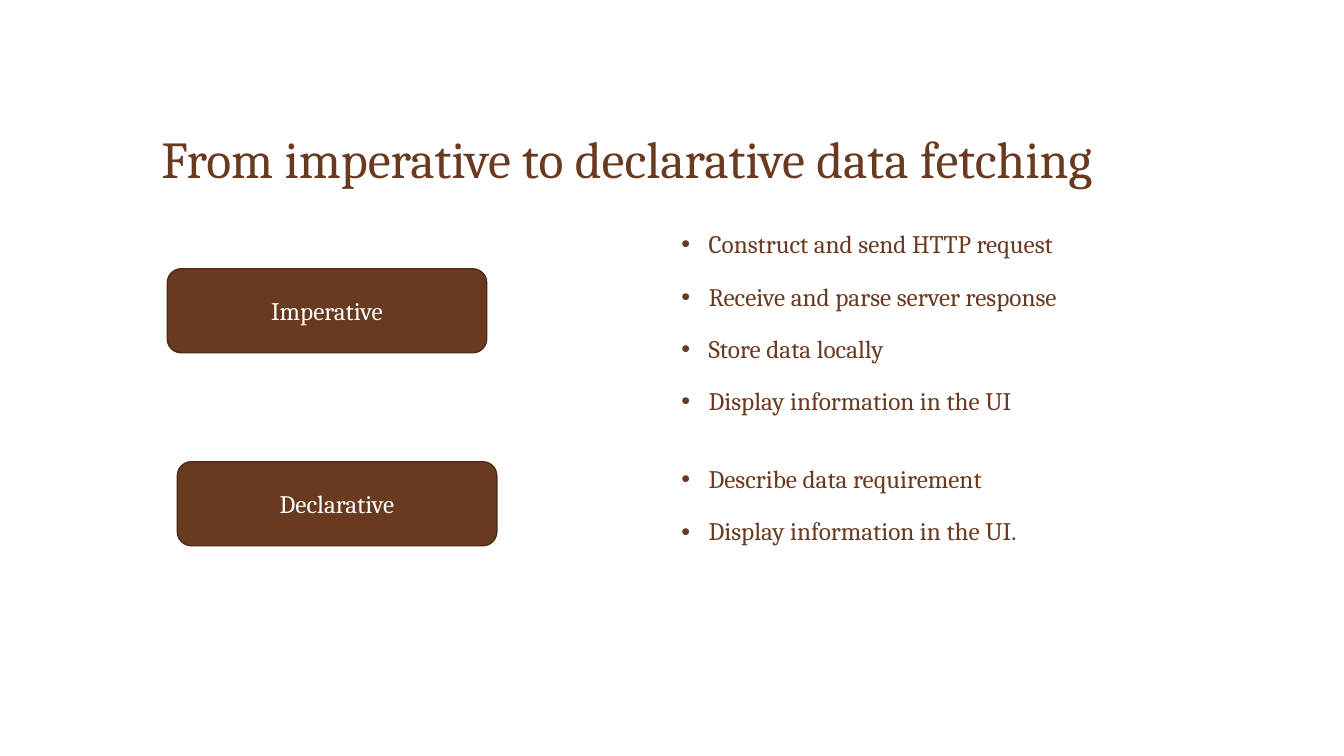
import pptx
import pptx.dml.color
import pptx.enum.shapes
import pptx.enum.text
import pptx.util

Pt = pptx.util.Pt
RGB = pptx.dml.color.RGBColor.from_string
ALIGN = pptx.enum.text.PP_ALIGN
ANCHOR = pptx.enum.text.MSO_ANCHOR

THEME = {
    "font": "Cambria",
    "brown": RGB("6A3A20"),
    "dark brown": RGB("4E2B18"),
    "white": RGB("FFFFFF"),
    "title size": Pt(37),
    "text size": Pt(18),
}
BULLET_INDENT = Pt(19.44)
LIST_FORMAT = {"alignment": ALIGN.LEFT, "line_spacing": 0.9, "space_before": Pt(18)}


def place(shape, left, top, width, height):
    frame = {"left": left, "top": top, "width": width, "height": height}
    for name, value in frame.items():
        setattr(shape, name, Pt(value))


def write(shape, lines, size, color, anchor, para_format):
    """Fill the shape with one formatted paragraph per line."""
    text = shape.text_frame
    text.text = "\n".join(lines)
    frame_format = {
        "word_wrap": True,
        "auto_size": pptx.enum.text.MSO_AUTO_SIZE.NONE,
        "vertical_anchor": anchor,
    }
    for name, value in frame_format.items():
        setattr(text, name, value)
    for para in text.paragraphs:
        for name, value in para_format.items():
            setattr(para, name, value)
        for span in para.runs:
            for name, value in {"name": THEME["font"], "size": THEME[size]}.items():
                setattr(span.font, name, value)
            span.font.color.rgb = THEME[color]


deck = pptx.Presentation()
deck.slide_width, deck.slide_height = Pt(960), Pt(540)
page = deck.slides.add_slide(deck.slide_layouts.get_by_name("Two Content"))

title = page.shapes.title
place(title, 108, 46, 767.5, 92.2)
write(title, ["From imperative to declarative data fetching"], "title size", "brown",
      ANCHOR.BOTTOM, {"alignment": ALIGN.LEFT})

# Placeholder number, list top, list lines, label, label left, label top
styles = [
    (1, 162,
     ["Construct and send HTTP request", "Receive and parse server response",
      "Store data locally", "Display information in the UI"],
     "Imperative", 119.5, 192),
    (2, 329.8,
     ["Describe data requirement", "Display information in the UI."],
     "Declarative", 126.7, 329.8),
]

for number, list_top, steps, label, label_left, label_top in styles:
    step_list = page.placeholders[number]
    place(step_list, 479.5, list_top, 383.8, 144)
    write(step_list, steps, "text size", "brown", ANCHOR.TOP, LIST_FORMAT)
    for para in step_list.text_frame.paragraphs:
        properties = para._p.get_or_add_pPr()
        properties.set("marL", str(BULLET_INDENT))
        properties.set("indent", str(-BULLET_INDENT))

    box = page.shapes.add_shape(pptx.enum.shapes.MSO_SHAPE.ROUNDED_RECTANGLE, 0, 0, 0, 0)
    place(box, label_left, label_top, 228.2, 60)
    box.shadow.inherit = False
    box.fill.solid()
    box.fill.fore_color.rgb = THEME["brown"]
    box.line.color.rgb = THEME["dark brown"]
    box.line.width = Pt(1)
    write(box, [label], "text size", "white", ANCHOR.MIDDLE, {"alignment": ALIGN.CENTER})

deck.save("out.pptx")
